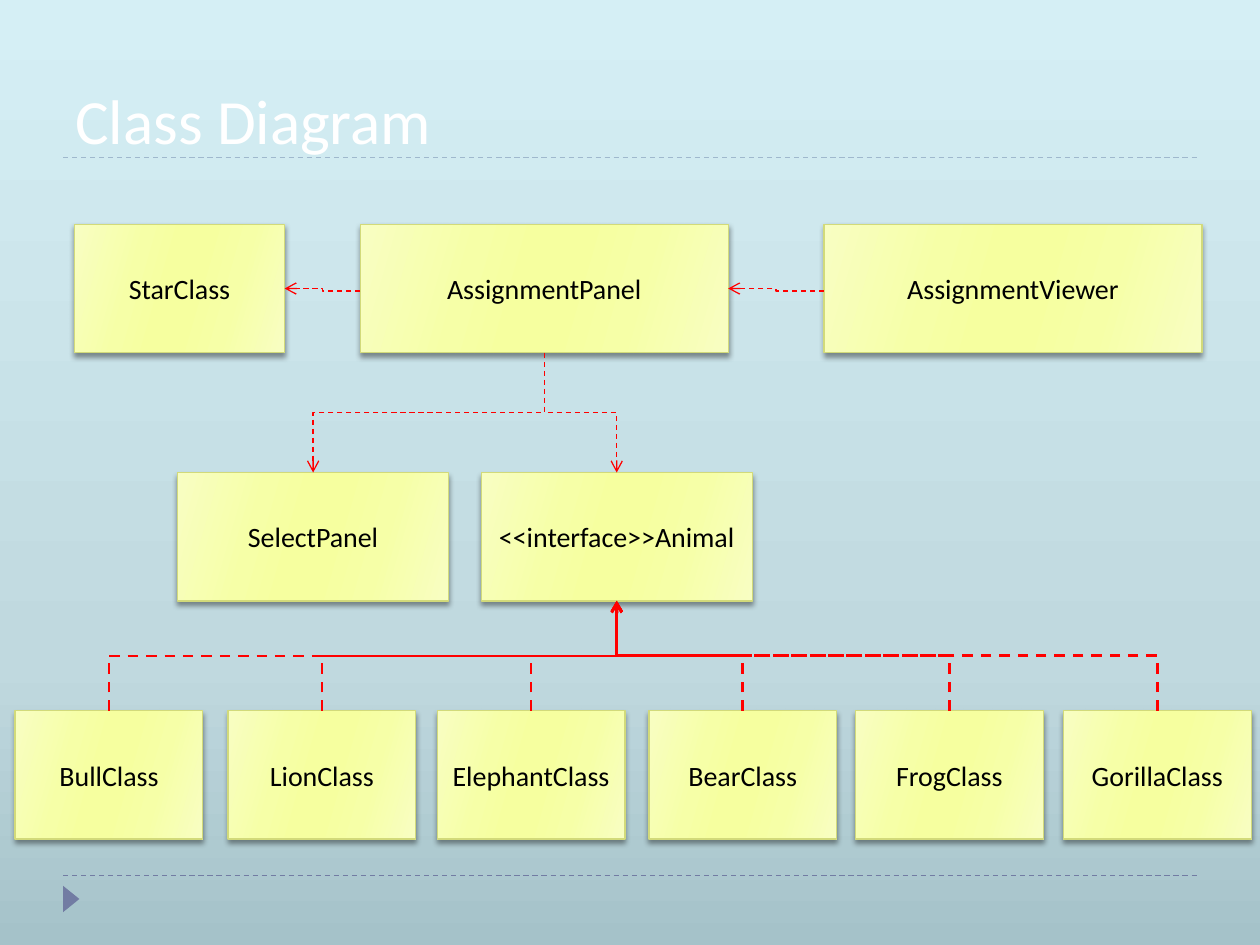
"""Build the class diagram slide: panels, the animal interface and its six classes."""
from dataclasses import dataclass

from lxml import etree
from pptx import Presentation
from pptx import util as u
from pptx.dml.color import RGBColor
from pptx.enum import dml, shapes, text
from pptx.oxml.ns import qn


@dataclass(frozen=True)
class Theme:
    font: str = "Calibri"
    title_size: int = 36
    label_size: int = 16
    title: str = "FFFFFF"
    label: str = "000000"
    border: str = "D2DA7A"
    arrow: str = "FF0000"
    accent: str = "727CA3"
    rule: str = "9FB8CD"
    thin: float = 0.75
    thick: float = 1.5
    sky: tuple = ((0, "A5C2C9"), (30, "C0D9DF"), (100, "D5EFF5"))
    card: tuple = ((0, "F8FEC2"), (30, "F6FFA7"), (45, "F6FF9F"),
                   (55, "F6FF9F"), (73, "F6FFA7"), (100, "F8FEC2"))


def set_gradient(fill, parent, stops, angle):
    fill.solid()
    gradient = etree.Element(qn("a:gradFill"), rotWithShape="1")
    stop_list = etree.SubElement(gradient, qn("a:gsLst"))
    for position, color in stops:
        stop = etree.SubElement(stop_list, qn("a:gs"), pos=str(position * 1000))
        etree.SubElement(stop, qn("a:srgbClr"), val=color)
    etree.SubElement(gradient, qn("a:lin"), ang=str(angle * 60000), scaled="0")
    parent.replace(parent.find(qn("a:solidFill")), gradient)


def add_line(kind, start, end, color, width):
    line = slide.shapes.add_connector(kind, *(u.Inches(v) for v in (*start, *end)))
    line.line.color.rgb = RGBColor.from_string(color)
    for name, value in {"width": u.Pt(width), "dash_style": dml.MSO_LINE.DASH}.items():
        setattr(line.line, name, value)
    etree.SubElement(line._element.spPr, qn("a:effectLst"))
    return line._element.spPr


theme = Theme()
deck = Presentation()
deck.slide_width, deck.slide_height = u.Inches(10), u.Inches(7.5)
slide = deck.slides.add_slide(deck.slide_layouts[6])
set_gradient(slide.background.fill, slide._element.cSld.bg.bgPr, theme.sky, 270)

for rule_y, color in ((6.95, theme.accent), (1.25, theme.rule)):
    add_line(shapes.MSO_CONNECTOR.STRAIGHT, (0.5, rule_y), (9.5, rule_y), color, theme.thin)

marker = slide.shapes.add_shape(shapes.MSO_SHAPE.ISOSCELES_TRIANGLE,
                                *(u.Inches(v) for v in (0.46, 7.07, 0.21, 0.13)))
marker.rotation = 90
marker.shadow.inherit = False
marker.fill.solid()
marker.fill.fore_color.rgb = RGBColor.from_string(theme.accent)
marker.line.fill.background()

heading = slide.shapes.add_textbox(*(u.Inches(v) for v in (0.5, 0.25, 9, 1)))
for name, value in {"word_wrap": True, "margin_bottom": 0,
                    "vertical_anchor": text.MSO_ANCHOR.BOTTOM}.items():
    setattr(heading.text_frame, name, value)
heading_run = heading.text_frame.paragraphs[0].add_run()
heading_run.text = "Class Diagram"
for name, value in {"name": theme.font, "size": u.Pt(theme.title_size)}.items():
    setattr(heading_run.font, name, value)
heading_run.font.color.rgb = RGBColor.from_string(theme.title)

card_height = 1.02
panel_row, select_row, animal_row = 1.78, 3.75, 5.64
animals = {"BullClass": 0.12, "LionClass": 1.81, "ElephantClass": 3.47,
           "BearClass": 5.15, "FrogClass": 6.79, "GorillaClass": 8.44}
cards = {
    "StarClass": (0.59, panel_row, 1.67),
    "AssignmentPanel": (2.86, panel_row, 2.92),
    "AssignmentViewer": (6.54, panel_row, 3),
    "SelectPanel": (1.41, select_row, 2.15),
    "<<interface>>Animal": (3.82, select_row, 2.15),
    **{label: (left, animal_row, 1.49) for label, left in animals.items()},
}

for label, (left, top, width) in cards.items():
    card = slide.shapes.add_shape(shapes.MSO_SHAPE.RECTANGLE,
                                  *(u.Inches(v) for v in (left, top, width, card_height)))
    set_gradient(card.fill, card._element.spPr, theme.card, 16)
    card.line.color.rgb = RGBColor.from_string(theme.border)
    card.line.width = u.Pt(theme.thin)
    card.shadow.inherit = False
    shadow = etree.SubElement(card._element.spPr.find(qn("a:effectLst")), qn("a:outerShdw"),
                              blurRad=str(u.Pt(3)), dist=str(u.Pt(2)),
                              dir="5400000", rotWithShape="0")
    shade = etree.SubElement(shadow, qn("a:srgbClr"), val=theme.label)
    etree.SubElement(shade, qn("a:alpha"), val="40000")
    card.text_frame.vertical_anchor = text.MSO_ANCHOR.MIDDLE
    paragraph = card.text_frame.paragraphs[0]
    paragraph.alignment = text.PP_ALIGN.CENTER
    run = paragraph.add_run()
    run.text = label
    for name, value in {"name": theme.font, "size": u.Pt(theme.label_size)}.items():
        setattr(run.font, name, value)
    run.font.color.rgb = RGBColor.from_string(theme.label)

middles = {label: left + width / 2 for label, (left, top, width) in cards.items()}
interface = "<<interface>>Animal"
vertical_links = [((middles[animal], animal_row),
                   (middles[interface], select_row + card_height), theme.thick)
                  for animal in animals]
vertical_links += [((middles["AssignmentPanel"], panel_row + card_height),
                    (middles[target], select_row), theme.thin)
                   for target in (interface, "SelectPanel")]

arrows = []
for (x1, y1), (x2, y2), width in vertical_links:
    center_x, center_y = (x1 + x2) / 2, (y1 + y2) / 2
    reach = abs(y2 - y1) / 2
    rise = (x2 - x1) / 2 * (1 if y2 > y1 else -1)
    arrow = add_line(shapes.MSO_CONNECTOR.ELBOW, (center_x - reach, center_y + rise),
                     (center_x + reach, center_y - rise), theme.arrow, width)
    arrow.find(qn("a:xfrm")).set("rot", str((90 if y2 > y1 else 270) * 60000))
    arrows.append(arrow)

for source, target in (("AssignmentViewer", "AssignmentPanel"), ("AssignmentPanel", "StarClass")):
    target_left, target_top, target_width = cards[target]
    arrows.append(add_line(shapes.MSO_CONNECTOR.ELBOW, (cards[source][0], 2.31),
                           (target_left + target_width, 2.29), theme.arrow, theme.thin))

for arrow in arrows:
    etree.SubElement(arrow.find(qn("a:ln")), qn("a:tailEnd"), type="arrow")

deck.save("out.pptx")
